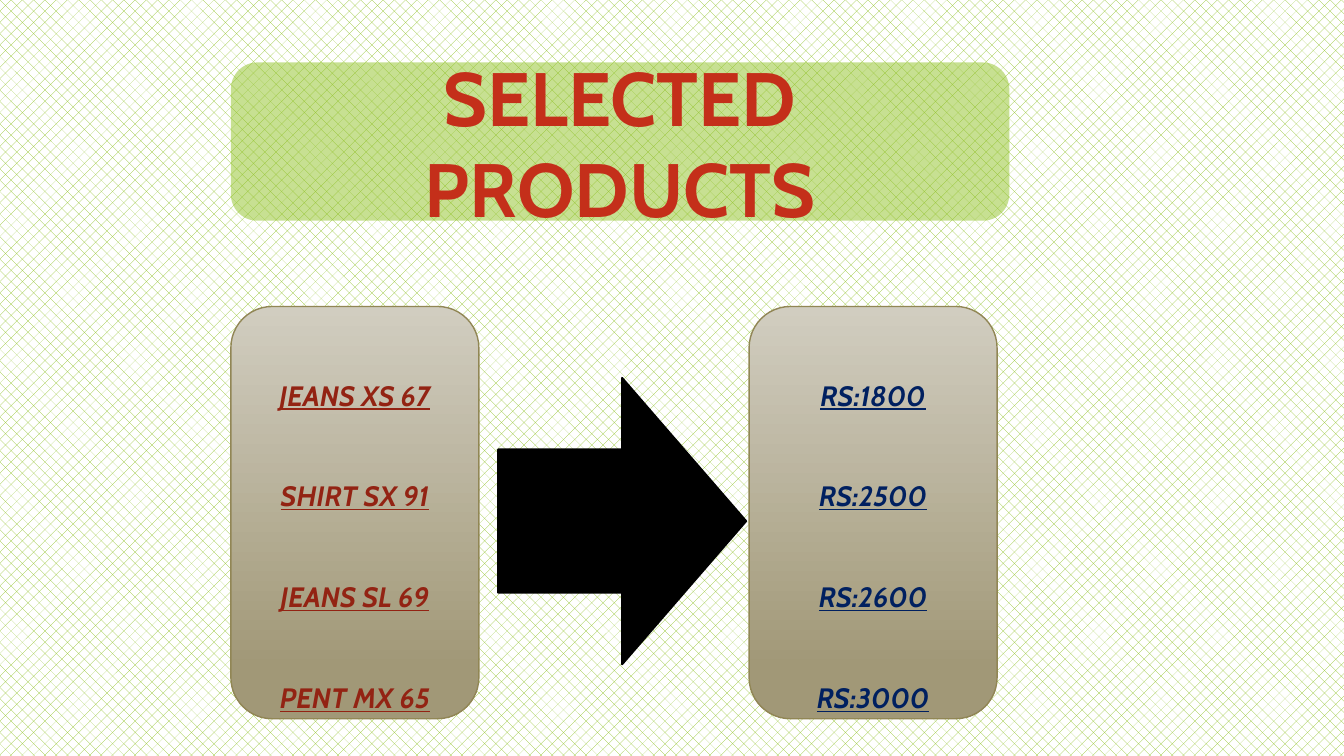
import pptx
import pptx.util
import pptx.dml.color
import pptx.enum.dml
import pptx.enum.shapes
import pptx.enum.text
import pptx.oxml
import pptx.oxml.ns
from lxml import etree

Inches = pptx.util.Inches
Pt = pptx.util.Pt
SHAPE = pptx.enum.shapes.MSO_SHAPE

COLORS = {
    "green": "90C226",
    "white": "FFFFFF",
    "title": "C42F1A",
    "item": "932313",
    "price": "002060",
    "card_top": "D1CDC0",
    "card_bottom": "A19877",
    "card_edge": "918655",
    "arrow": "000000",
}


def rgb(name):
    return pptx.dml.color.RGBColor.from_string(COLORS[name])


class ProductSlide:
    font = "Cabin"
    card_size = (2.46, 4.09)
    card_top = 3.04

    def __init__(self, slide):
        self.slide = slide

    def background(self):
        fill = self.slide.background.fill
        fill.patterned()
        fill.pattern = pptx.enum.dml.MSO_PATTERN.PERCENT_25
        fill.fore_color.rgb = rgb("green")
        fill.back_color.rgb = rgb("white")

    def shape(self, kind, left, top, width, height, edge=None, edge_width=1):
        shape = self.slide.shapes.add_shape(
            kind, Inches(left), Inches(top), Inches(width), Inches(height))
        shape.shadow.inherit = False
        if edge:
            shape.line.color.rgb = rgb(edge)
            shape.line.width = Pt(edge_width)
        else:
            shape.line.fill.background()
        return shape

    def text(self, shape, lines, color, spacing=1.0, **formats):
        frame = shape.text_frame
        frame.word_wrap = True
        frame.vertical_anchor = pptx.enum.text.MSO_ANCHOR.MIDDLE
        frame.text = "\n".join(lines)
        for paragraph in frame.paragraphs:
            paragraph.alignment = pptx.enum.text.PP_ALIGN.CENTER
            paragraph.line_spacing = spacing
            font = paragraph.runs[0].font
            font.color.rgb = rgb(color)
            for name, value in {"name": self.font, "bold": True, **formats}.items():
                setattr(font, name, value)

    def banner(self, title):
        banner = self.shape(SHAPE.ROUNDED_RECTANGLE, 2.29, 0.62, 7.72, 1.57)
        banner.fill.solid()
        banner.fill.fore_color.rgb = rgb("green")
        # Half-transparent fill
        qn = pptx.oxml.ns.qn
        fill_color = banner.fill._xPr.find(qn("a:solidFill"))[0]
        etree.SubElement(fill_color, qn("a:alpha"), val="50000")
        self.text(banner, [title], "title", size=Pt(54))
        # Thin white outline around the letters
        outline = pptx.oxml.parse_xml(
            f'<a:ln {pptx.oxml.ns.nsdecls("a")} w="{Pt(0.75)}"><a:solidFill>'
            f'<a:srgbClr val="{COLORS["white"]}"/></a:solidFill></a:ln>')
        run = banner.text_frame.paragraphs[0].runs[0]
        run._r.get_or_add_rPr().insert(0, outline)

    def card(self, left, lines, color):
        card = self.shape(SHAPE.ROUNDED_RECTANGLE, left, self.card_top,
                          *self.card_size, edge="card_edge")
        card.fill.gradient()
        card.fill.gradient_angle = 270
        shades = ((0, "card_top"), (0.88, "card_bottom"))
        for stop, (position, shade) in zip(card.fill.gradient_stops, shades):
            stop.position = position
            stop.color.rgb = rgb(shade)
        self.text(card, lines, color, spacing=3.0,
                  size=Pt(20), italic=True, underline=True)

    def arrow(self):
        arrow = self.shape(SHAPE.RIGHT_ARROW, 4.94, 3.75, 2.46, 2.84,
                           edge="arrow", edge_width=1.5)
        arrow.fill.solid()
        arrow.fill.fore_color.rgb = rgb("arrow")


def main():
    deck = pptx.Presentation()
    deck.slide_width, deck.slide_height = Inches(13.33), Inches(7.5)
    page = ProductSlide(deck.slides.add_slide(deck.slide_layouts[6]))
    page.background()

    # Title
    page.banner("SELECTED PRODUCTS")

    # Products and their prices
    prices = {"JEANS XS 67": 1800, "SHIRT SX 91": 2500,
              "JEANS SL 69": 2600, "PENT MX 65": 3000}
    page.card(2.29, prices, "item")
    page.card(7.43, [f"RS:{price}" for price in prices.values()], "price")

    # Arrow from products to prices
    page.arrow()

    deck.save("out.pptx")


if __name__ == "__main__":
    main()
